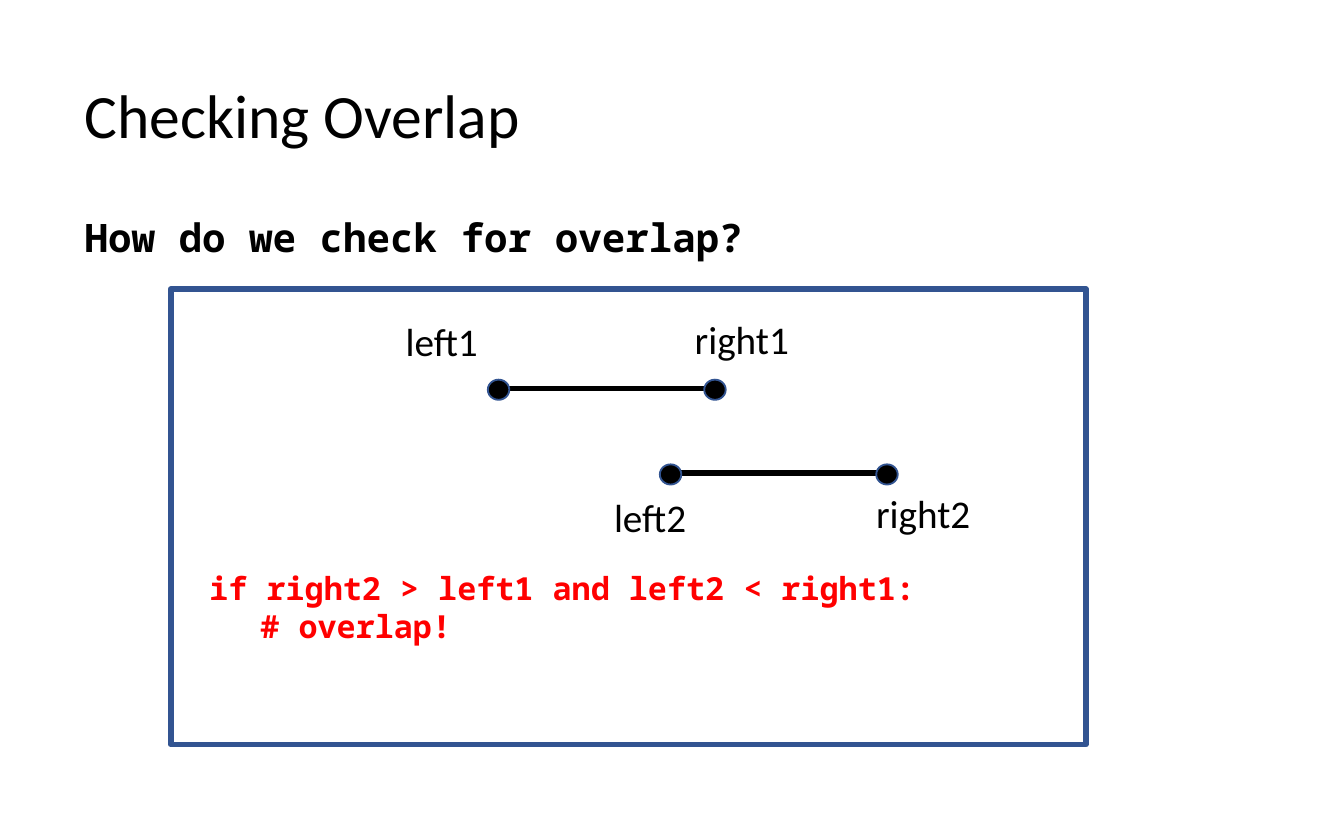
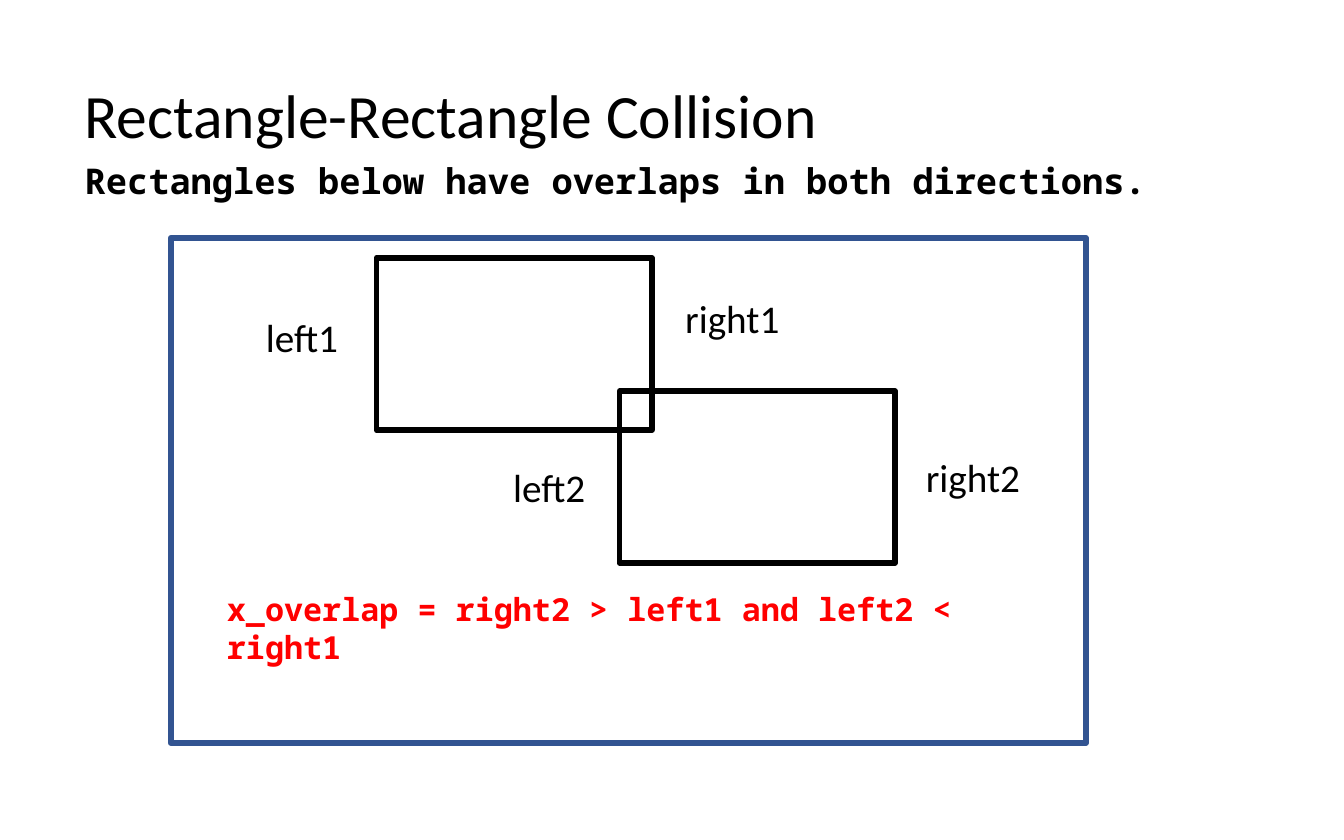
import lxml.etree
import pptx
import pptx.dml.color
import pptx.enum.shapes
import pptx.enum.text
import pptx.oxml.ns
import pptx.util

Inches = pptx.util.Inches
Pt = pptx.util.Pt
RGBColor = pptx.dml.color.RGBColor
Shape = pptx.enum.shapes.MSO_SHAPE
qn = pptx.oxml.ns.qn

BLACK = RGBColor(0x00, 0x00, 0x00)
RED = RGBColor(0xFF, 0x00, 0x00)
BLUE = RGBColor(0x32, 0x54, 0x91)
SANS = "Calibri"
MONO = "Noto Sans Mono"
TAB_STOP = 0.38
INTERVAL_LENGTH = 1.63
DOT_SIZE = (0.16, 0.15)
PANEL_LEFT, PANEL_WIDTH = 1.27, 6.81
RECTANGLE_SIZE = (2.05, 1.28)


class Deck:
    def __init__(self):
        self.presentation = pptx.Presentation()
        self.presentation.slide_width = Inches(10)
        self.presentation.slide_height = Inches(6.25)
        self.slide = None

    def add_slide(self, title, statement, statement_top, statement_size):
        layout = self.presentation.slide_layouts[1]
        self.slide = self.presentation.slides.add_slide(layout)
        heading = self.slide.shapes.title
        self.place(heading, 0.53, 0.51, 7.71, 0.75)
        heading.text_frame.vertical_anchor = pptx.enum.text.MSO_ANCHOR.MIDDLE
        self.write_placeholder(heading, title, SANS, 33)
        body = self.slide.placeholders[1]
        self.place(body, 0.53, statement_top, 9.06, 6.22 - statement_top)
        body.text_frame.vertical_anchor = pptx.enum.text.MSO_ANCHOR.TOP
        self.write_placeholder(body, statement, MONO, statement_size, bold=True)

    def place(self, shape, left, top, width, height):
        shape.left, shape.top = Inches(left), Inches(top)
        shape.width, shape.height = Inches(width), Inches(height)

    def write_placeholder(self, placeholder, text, font, size, bold=False):
        placeholder.text_frame.auto_size = pptx.enum.text.MSO_AUTO_SIZE.NONE
        paragraph = placeholder.text_frame.paragraphs[0]
        properties = paragraph._p.get_or_add_pPr()
        properties.set("marL", "0")
        properties.set("indent", "0")
        lxml.etree.SubElement(properties, qn("a:buNone"))
        paragraph.alignment = pptx.enum.text.PP_ALIGN.LEFT
        paragraph.line_spacing = 0.9
        paragraph.space_before = Pt(0)
        self.add_run(paragraph, text, font, size, BLACK, bold)

    def add_run(self, paragraph, text, font, size, color, bold=False):
        run = paragraph.add_run()
        run.text = text
        run.font.name = font
        run.font.size = Pt(size)
        run.font.bold = bold
        run.font.color.rgb = color

    def add_frame(self, shapes, left, top, width, height):
        box = shapes.add_textbox(Inches(left), Inches(top), Inches(width), Inches(height))
        box.text_frame.word_wrap = True
        box.text_frame.auto_size = pptx.enum.text.MSO_AUTO_SIZE.SHAPE_TO_FIT_TEXT
        return box.text_frame

    def add_label(self, text, left, top, width, shapes=None):
        frame = self.add_frame(shapes or self.slide.shapes, left, top, width, 0.45)
        self.add_run(frame.paragraphs[0], text, SANS, 21, BLACK)

    def add_code(self, lines, left, top):
        frame = self.add_frame(self.slide.shapes, left, top, 6.04, 0.67)
        for number, line in enumerate(lines):
            paragraph = frame.add_paragraph() if number else frame.paragraphs[0]
            if line.startswith("\t"):
                stops = lxml.etree.SubElement(paragraph._p.get_or_add_pPr(), qn("a:tabLst"))
                lxml.etree.SubElement(stops, qn("a:tab"), pos=str(Inches(TAB_STOP)), algn="l")
            self.add_run(paragraph, line, MONO, 17, RED, bold=True)

    def add_outline(self, left, top, width, height, color, kind=Shape.RECTANGLE,
                    weight=3, fill=None, shapes=None):
        shapes = shapes or self.slide.shapes
        shape = shapes.add_shape(kind, Inches(left), Inches(top), Inches(width), Inches(height))
        shape.shadow.inherit = False
        shape.line.color.rgb = color
        shape.line.width = Pt(weight)
        if fill is None:
            shape.fill.background()
        else:
            shape.fill.solid()
            shape.fill.fore_color.rgb = fill

    def add_panel(self, top, height):
        self.add_outline(PANEL_LEFT, top, PANEL_WIDTH, height, BLUE)

    def add_interval(self, left, y, labels):
        """Draw a segment with a dot at each end; labels are (text, left, top, width)."""
        shapes = self.slide.shapes.add_group_shape().shapes
        right = left + INTERVAL_LENGTH
        segment = shapes.add_connector(
            pptx.enum.shapes.MSO_CONNECTOR.STRAIGHT,
            Inches(left), Inches(y), Inches(right), Inches(y))
        segment.line.color.rgb = BLACK
        segment.line.width = Pt(3)
        lxml.etree.SubElement(segment._element.spPr, qn("a:effectLst"))
        for label in labels:
            self.add_label(*label, shapes=shapes)
        width, height = DOT_SIZE
        for center in (left + 0.01, right - 0.01):
            self.add_outline(center - width / 2, y + 0.01 - height / 2, width, height,
                             BLUE, Shape.OVAL, 1, BLACK, shapes)


def add_overlap_slide(deck):
    deck.add_slide("Checking Overlap", "How do we check for overlap?", 1.58, 21)
    deck.add_panel(2.15, 3.39)
    deck.add_interval(3.7, 2.89, [("left1", 2.92, 2.31, 0.78), ("right1", 5.07, 2.3, 1.01)])
    deck.add_interval(4.98, 3.52, [("right2", 6.42, 3.59, 1.01), ("left2", 4.47, 3.62, 1.01)])
    deck.add_code(["if right2 > left1 and left2 < right1:", "\t# overlap!"], 1.46, 4.18)


def add_collision_slide(deck):
    deck.add_slide("Rectangle-Rectangle Collision",
                   "Rectangles below have overlaps in both directions.", 1.17, 19)
    deck.add_panel(1.77, 3.76)
    for left, top in ((2.8, 1.92), (4.61, 2.91)):
        deck.add_outline(left, top, *RECTANGLE_SIZE, BLACK)
    for label in (("right1", 5, 2.14, 1.53), ("left1", 1.88, 2.28, 0.92),
                  ("left2", 3.72, 3.4, 0.92), ("right2", 6.79, 3.32, 1.36)):
        deck.add_label(*label)
    deck.add_code(["x_overlap = right2 > left1 and left2 < right1"], 1.59, 4.34)


def main():
    deck = Deck()
    add_overlap_slide(deck)
    add_collision_slide(deck)
    deck.presentation.save("out.pptx")


if __name__ == "__main__":
    main()
